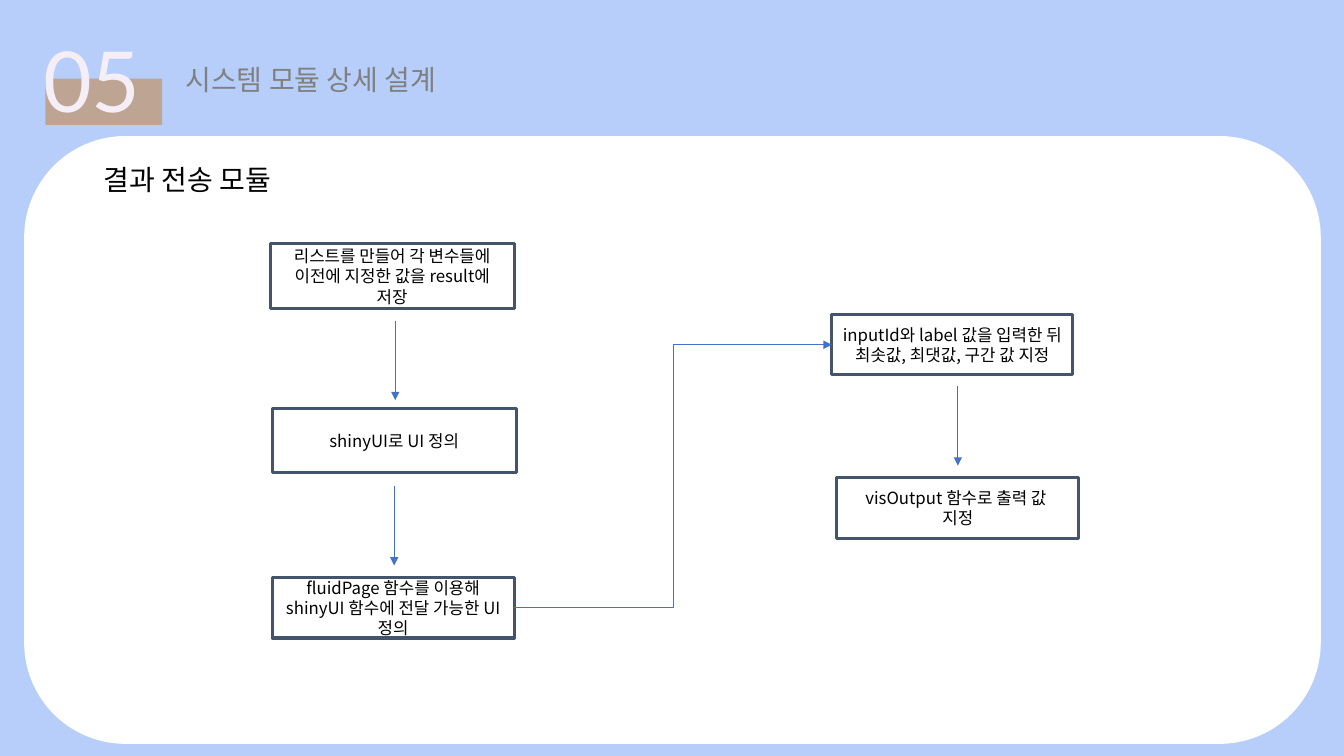
from lxml.etree import SubElement
from pptx import Presentation
from pptx.dml.color import RGBColor
from pptx.enum.shapes import MSO_CONNECTOR, MSO_SHAPE
from pptx.enum.text import MSO_ANCHOR, PP_ALIGN
from pptx.oxml.ns import qn
from pptx.util import Inches, Pt

SKY = RGBColor(0xB7, 0xCE, 0xFB)
TAN = RGBColor(0xBE, 0xA4, 0x93)
PALE = RGBColor(0xF5, 0xEE, 0xF6)
GRAY = RGBColor(0x80, 0x80, 0x80)
WHITE = RGBColor(0xFF, 0xFF, 0xFF)
BLACK = RGBColor(0, 0, 0)
SLATE = RGBColor(0x44, 0x54, 0x6A)
BLUE = RGBColor(0x44, 0x72, 0xC4)
KOREAN = "Noto Sans CJK KR"


def add_run(paragraph, text, size, font, color):
    run = paragraph.add_run()
    run.text = text
    run.font.size = Pt(size)
    run.font.name = font
    run.font.color.rgb = color
    SubElement(run.font._element, qn("a:ea")).set("typeface", KOREAN)


def style_arrow(arrow):
    arrow.line.color.rgb = BLUE
    arrow.line.width = Pt(0.5)
    SubElement(arrow.line._get_or_add_ln(), qn("a:tailEnd")).set("type", "triangle")
    SubElement(arrow._element.spPr, qn("a:effectLst"))


prs = Presentation()
prs.slide_width = Inches(13.33)
prs.slide_height = Inches(7.5)
slide = prs.slides.add_slide(prs.slide_layouts[6])
slide.background.fill.solid()
slide.background.fill.fore_color.rgb = SKY
shapes = slide.shapes

for preset, left, top, width, height, color in [
    (MSO_SHAPE.RECTANGLE, 0.45, 0.78, 1.16, 0.46, TAN),
    (MSO_SHAPE.ROUNDED_RECTANGLE, 0.24, 1.35, 12.86, 6.03, WHITE),
]:
    panel = shapes.add_shape(preset, Inches(left), Inches(top), Inches(width), Inches(height))
    panel.shadow.inherit = False
    panel.fill.solid()
    panel.fill.fore_color.rgb = color
    panel.line.fill.background()

for text, left, top, width, height, size, font, color in [
    ("05", 0.33, 0.23, 1.28, 1.11, 60, "Lato", PALE),
    ("시스템 모듈 상세 설계", 1.74, 0.57, 3.11, 0.44, 20, "Lato", GRAY),
    ("결과 전송 모듈", 0.93, 1.56, 3, 0.44, 20, KOREAN, BLACK),
]:
    heading = shapes.add_textbox(Inches(left), Inches(top), Inches(width), Inches(height))
    heading.text_frame.word_wrap = True
    add_run(heading.text_frame.paragraphs[0], text, size, font, color)

steps = []
for left, top, width, height, lines in [
    (2.68, 2.42, 2.42, 0.64, ["리스트를 만들어 각 변수들에 이전에 지정한 값을 result에 저장"]),
    (2.7, 4.05, 2.42, 0.64, ["shinyUI로 UI 정의"]),
    (2.7, 5.73, 2.4, 0.6, ["fluidPage 함수를 이용해 shinyUI 함수에 전달 가능한 UI 정의"]),
    (8.25, 3.12, 2.39, 0.6, ["inputId와 label 값을 입력한 뒤 최솟값, 최댓값, 구간 값 지정"]),
    (8.3, 4.74, 2.4, 0.6, ["visOutput 함수로 출력 값 ", "지정"]),
]:
    step = shapes.add_shape(
        MSO_SHAPE.RECTANGLE, Inches(left), Inches(top), Inches(width), Inches(height))
    step.shadow.inherit = False
    step.fill.background()
    step.line.color.rgb = SLATE
    step.line.width = Pt(2.25)
    frame = step.text_frame
    frame.word_wrap = True
    frame.vertical_anchor = MSO_ANCHOR.MIDDLE
    for index, line in enumerate(lines):
        paragraph = frame.add_paragraph() if index else frame.paragraphs[0]
        paragraph.alignment = PP_ALIGN.CENTER
        add_run(paragraph, line, 12, KOREAN, BLACK)
    steps.append(step)

for x, top in [(3.92, 3.18), (3.91, 4.82), (9.5, 3.83)]:
    style_arrow(shapes.add_connector(
        MSO_CONNECTOR.STRAIGHT, Inches(x), Inches(top), Inches(x), Inches(top + 0.79)))

fluid_page, slider_input = steps[2:4]
bend = shapes.add_connector(
    MSO_CONNECTOR.ELBOW, Inches(5.1), Inches(6.03), Inches(8.25), Inches(3.42))
bend.begin_connect(fluid_page, 3)
bend.end_connect(slider_input, 1)
style_arrow(bend)

prs.save("out.pptx")
